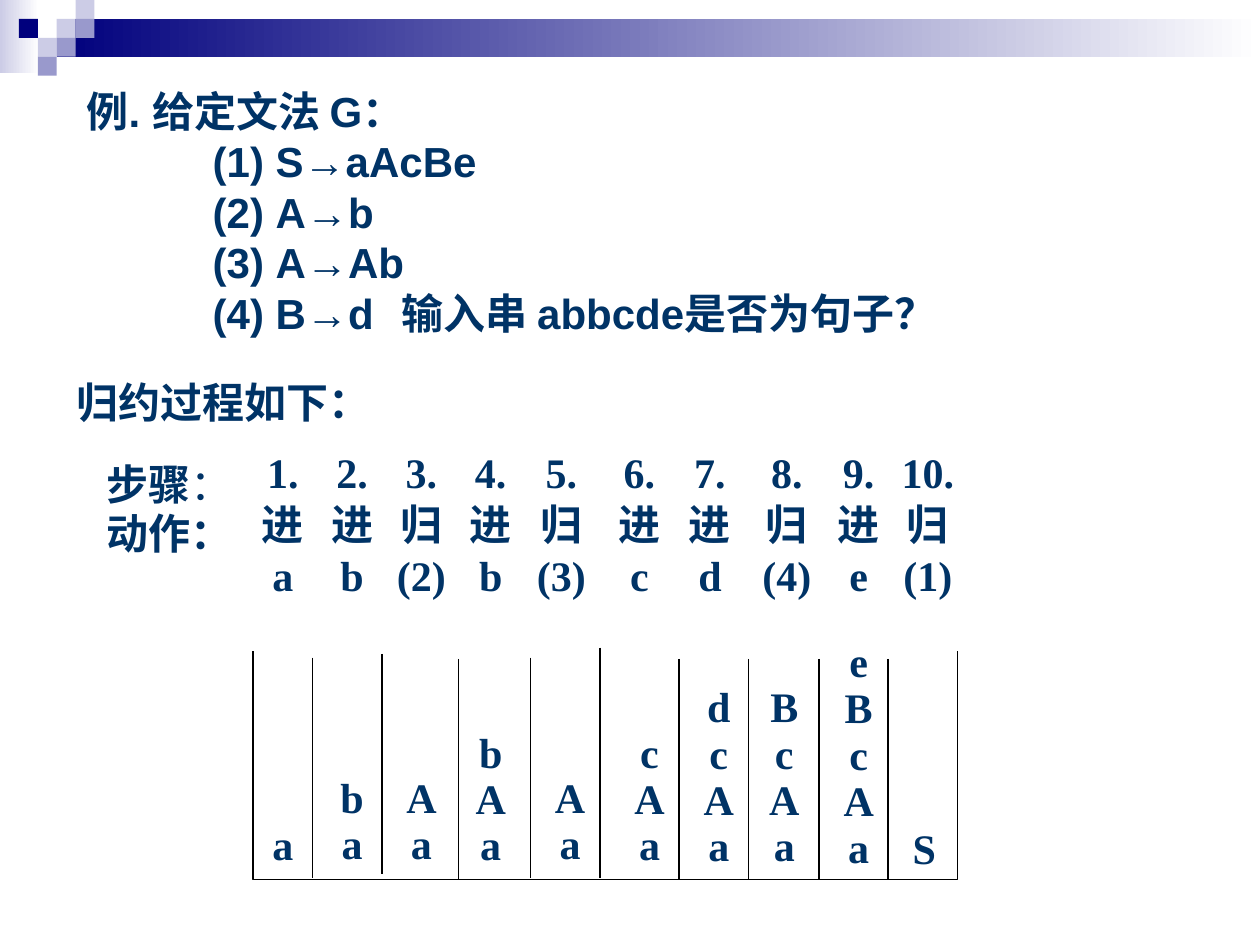
from dataclasses import dataclass

from lxml import etree
from pptx import Presentation
from pptx import util as u
from pptx.dml.color import RGBColor
from pptx.enum import shapes, text
from pptx.oxml.ns import qn

# The slide is a grid of 1000 columns by 750 rows.
UNIT = u.Inches(0.01)
COLS, ROWS = 1000, 750
SQUARE = 15
INK, NAVY, VIOLET, LILAC = "003366", "00007D", "9999CC", "CCCCE6"
WHITE, BLACK = "FFFFFF", "000000"
SANS, HAND, SERIF = "Arial", "Comic Neue", "Times New Roman"
LEFT, CENTER = text.PP_ALIGN.LEFT, text.PP_ALIGN.CENTER


@dataclass
class Run:
    words: str
    font: str
    bold: bool = True


@dataclass
class Step:
    left: int
    action: str
    operand: str
    stack: str  # top symbol first
    stack_left: int
    drop: int = 0


@dataclass
class Divider:
    col: int
    top: int
    bottom: int


SQUARES = [(3, 1, LILAC), (4, 0, LILAC), (4, 1, VIOLET), (2, 2, LILAC),
           (1, 1, NAVY), (3, 2, VIOLET), (2, 3, VIOLET)]

GRAMMAR = ["例. 给定文法 G：", "\t\t(1)\tS→aAcBe", "\t\t(2)\tA→b",
           "\t\t(3)\tA→Ab", "\t\t(4)\tB→d\t输入串 abbcde是否为句子？"]
GRAMMAR_TABS = [0, 1, 1.58, 3]

STEPS = [
    Step(193, "进", "a", "a", 193),
    Step(248, "进", "b", "ba", 248),
    Step(303, "归", "(2)", "Aa", 303),
    Step(358, "进", "b", "bAa", 358),
    Step(414, "归", "(3)", "Aa", 421),
    Step(476, "进", "c", "cAa", 484),
    Step(532, "进", "d", "dcAa", 539),
    Step(593, "归", "(4)", "BcAa", 591),
    Step(650, "进", "e", "eBcAa", 650),
    Step(705, "归", "(1)", "S", 702, drop=3),
]
STEP_WIDTH = 63

DIVIDERS = [Divider(248, 522, 697), Divider(303, 519, 694), Divider(364, 523, 698),
            Divider(421, 522, 697), Divider(476, 514, 697), Divider(539, 523, 698),
            Divider(594, 523, 698), Divider(650, 523, 698), Divider(705, 523, 698)]


def rgb(color: str) -> RGBColor:
    return RGBColor.from_string(color)


def grid(*cells: float) -> list[int]:
    return [int(c * UNIT) for c in cells]


def add_block(slide, left: float, top: float, width: float, height: float,
              *colors: str) -> None:
    """Borderless rectangle; two colours make a left-to-right gradient."""
    sp = slide.shapes.add_shape(shapes.MSO_SHAPE.RECTANGLE,
                                *grid(left, top, width, height))
    sp.shadow.inherit = False
    sp.line.fill.background()
    if len(colors) == 1:
        sp.fill.solid()
        sp.fill.fore_color.rgb = rgb(colors[0])
        return
    sp.fill.gradient()
    sp.fill.gradient_angle = 0
    for stop, color in zip(sp.fill.gradient_stops, colors):
        stop.color.rgb = rgb(color)


def add_text(slide, left: float, top: float, width: float, height: float,
             paragraphs: list[list[Run]], align=LEFT, spacing: float = 1,
             before: float = 0):
    tf = slide.shapes.add_textbox(*grid(left, top, width, height)).text_frame
    tf.word_wrap = True
    tf.auto_size = text.MSO_AUTO_SIZE.SHAPE_TO_FIT_TEXT
    for i, runs in enumerate(paragraphs):
        p = tf.add_paragraph() if i else tf.paragraphs[0]
        p.alignment = align
        p.line_spacing = spacing
        p.space_before = u.Pt(before if i else 0)
        for run in runs:
            r = p.add_run()
            r.text = run.words
            r.font.name = run.font
            r.font.size = u.Pt(24)
            r.font.bold = run.bold
            r.font.color.rgb = rgb(INK)
    return tf


def set_hanging_tabs(p, stops: list[float]) -> None:
    pPr = p._p.get_or_add_pPr()
    pPr.set("marL", str(u.Inches(0.5)))
    pPr.set("indent", str(-u.Inches(0.5)))
    tabs = etree.SubElement(pPr, qn("a:tabLst"))
    for stop in stops:
        etree.SubElement(tabs, qn("a:tab"), pos=str(u.Inches(stop)), algn="l")


def style_line(sp) -> None:
    sp.line.color.rgb = rgb(BLACK)
    sp.line.width = u.Pt(1)


def add_divider(slide, d: Divider) -> None:
    line = slide.shapes.add_connector(shapes.MSO_CONNECTOR.STRAIGHT,
                                      *grid(d.col, d.top, d.col, d.bottom))
    style_line(line)
    etree.SubElement(line._element.spPr, qn("a:effectLst"))


def add_stack_frame(slide) -> None:
    left, top, right, bottom = grid(201, 517, 760, 698)
    outline = slide.shapes.build_freeform(left, top)
    outline.add_line_segments([(left, bottom), (right, bottom), (right, top)],
                              close=False)
    sp = outline.convert_to_shape()
    sp.shadow.inherit = False
    sp.fill.background()
    style_line(sp)


def add_step(slide, number: int, step: Step) -> None:
    heading = [[Run(f"{number}.", SERIF)], [Run(step.action, HAND)],
               [Run(step.operand, SERIF)]]
    add_text(slide, step.left, 367, STEP_WIDTH, 112, heading, CENTER, 0.5, 15)

    depth = len(step.stack)
    if depth == 1:
        top, height, spacing = 645 + step.drop, 50, 1
    else:
        top, height, spacing = 700 - 36 * depth, 37 * depth - 11, 0.4
    symbols = [[Run(symbol, SERIF)] for symbol in step.stack]
    add_text(slide, step.stack_left, top, STEP_WIDTH, height, symbols,
             CENTER, spacing, 15)


def main() -> None:
    prs = Presentation()
    prs.slide_width, prs.slide_height = grid(COLS, ROWS)
    slide = prs.slides.add_slide(prs.slide_layouts[6])

    add_block(slide, 0, 0, 31, 58, LILAC, WHITE)
    add_block(slide, 45, 15, COLS - 45, 30, NAVY, WHITE)
    for col, row, color in SQUARES:
        add_block(slide, col * SQUARE, row * SQUARE, SQUARE, SQUARE, color)

    tf = add_text(slide, 59, 63, 866, 210, [[Run(line, SANS)] for line in GRAMMAR])
    for p in tf.paragraphs:
        set_hanging_tabs(p, GRAMMAR_TABS)

    add_stack_frame(slide)
    for divider in DIVIDERS:
        add_divider(slide, divider)

    add_text(slide, 51, 294, 284, 50, [[Run("归约过程如下：", HAND)]])
    add_text(slide, 75, 359, 142, 50, [[Run("步骤", HAND), Run("：", HAND, False)]])
    add_text(slide, 75, 398, 149, 50, [[Run("动作：", HAND)]])
    for number, step in enumerate(STEPS, 1):
        add_step(slide, number, step)

    prs.save("out.pptx")


if __name__ == "__main__":
    main()
